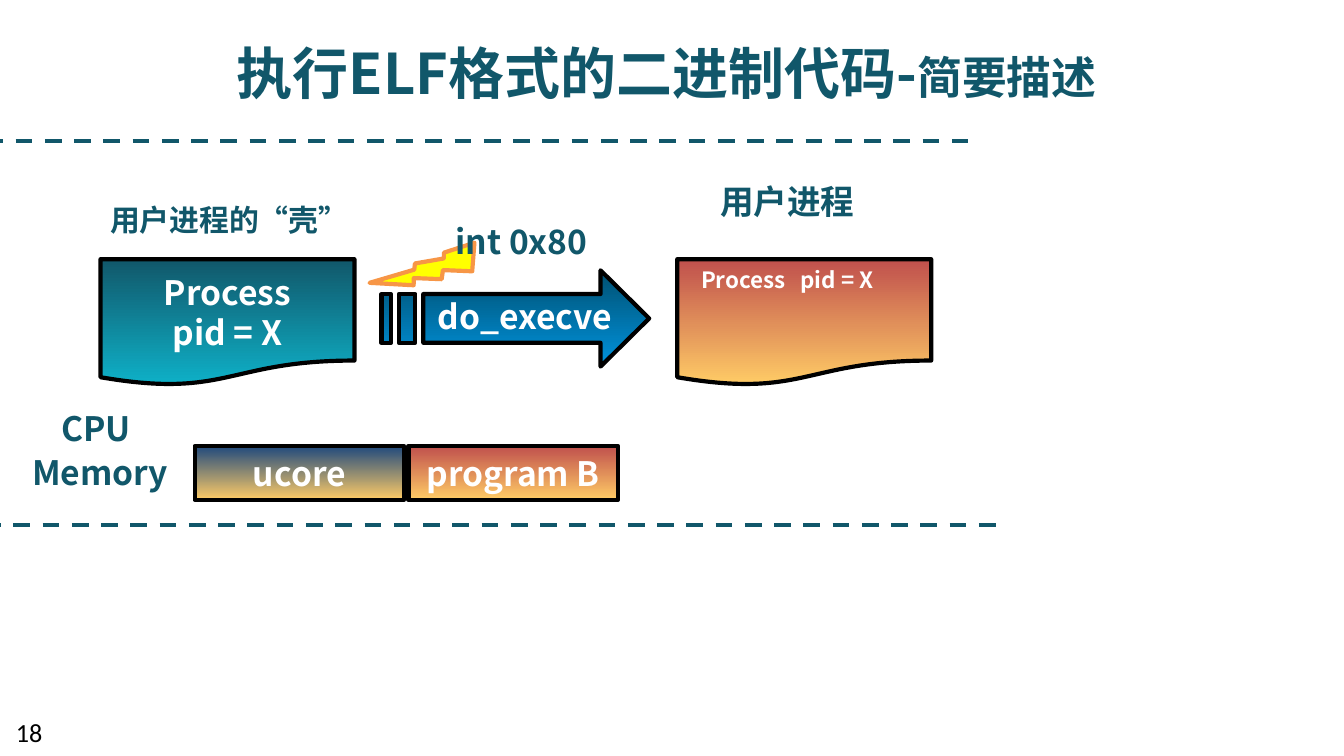
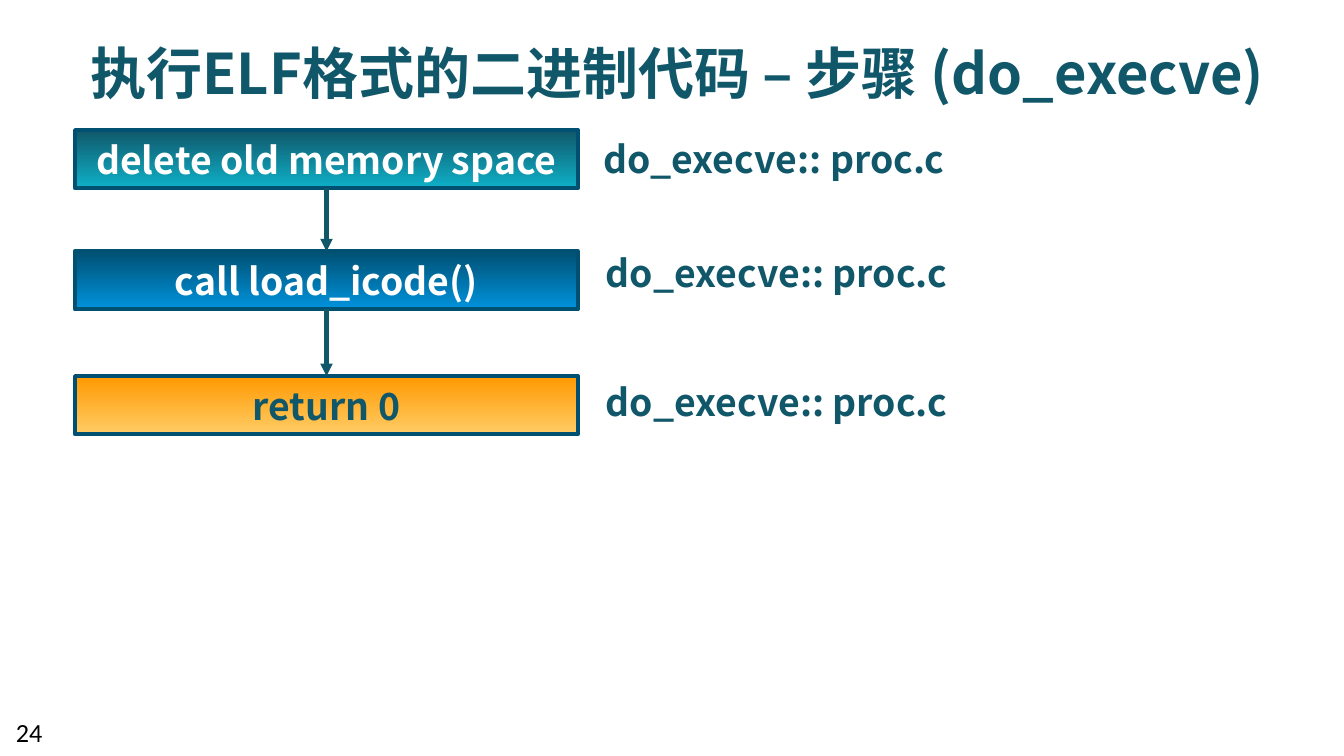
from lxml import etree
from pptx import Presentation
from pptx.dml.color import RGBColor
from pptx.enum.dml import MSO_LINE
from pptx.enum.shapes import MSO_CONNECTOR, MSO_SHAPE
from pptx.enum.text import MSO_ANCHOR, MSO_AUTO_SIZE, PP_ALIGN
from pptx.oxml.ns import qn
from pptx.util import Cm, Pt

LEFT, CENTER = PP_ALIGN.LEFT, PP_ALIGN.CENTER
TOP, MIDDLE = MSO_ANCHOR.TOP, MSO_ANCHOR.MIDDLE
RECTANGLE, DOCUMENT = MSO_SHAPE.RECTANGLE, MSO_SHAPE.FLOWCHART_DOCUMENT
BOLT = MSO_SHAPE.LIGHTNING_BOLT
STRAIGHT, DASH = MSO_CONNECTOR.STRAIGHT, MSO_LINE.DASH
NO_AUTOFIT = MSO_AUTO_SIZE.NONE

FONT, NUMBER_FONT = "Noto Sans CJK SC", "Calibri"
LINE_WIDTH = Pt(2.25)
COLORS = {
    "ink": "11576A", "white": "FFFFFF", "black": "000000", "cyan": "0EB1C8",
    "blue": "0093DD", "navy": "005072", "sand": "FFCC66", "red": "C0504D",
    "indigo": "1F497D", "amber": "FF9900", "yellow": "FFFF00", "orange": "F79646",
}
GRADIENTS = {
    "teal": ("cyan", "ink"), "deep": ("blue", "navy"), "brick": ("sand", "red"),
    "dusk": ("sand", "indigo"), "gold": ("sand", "amber"),
}

OVERVIEW = {
    "title": [("执行ELF格式的二进制代码-", 30), ("简要描述", 24)],
    "title_box": (3.3, 0.58, 18.6, 1.55),
    "number": "18",
}
DASHED_LINES = [(-0.81, 18.29, 2.67), (-0.3, 18.82, 9.93)]
PROCESSES = [(1.9, "teal"), (12.8, "brick")]
PROCESS_TOP, PROCESS_WIDTH, PROCESS_HEIGHT = 4.9, 4.8, 2.39
MEMORY = [("ucore", "dusk"), ("program B", "brick")]
MEMORY_LEFT, MEMORY_TOP, MEMORY_STEP = 3.68, 8.43, 4.04
MEMORY_WIDTH, MEMORY_HEIGHT = 3.96, 1.02
ARROW_OUTLINES = [
    [(11.35, 5.11), (11.35, 5.56), (8, 5.56), (8, 6.48),
     (11.35, 6.48), (11.35, 6.93), (12.27, 6.02)],
    [(7.54, 5.56), (7.54, 6.48), (7.85, 6.48), (7.85, 5.56)],
    [(7.21, 5.56), (7.21, 6.48), (7.39, 6.48), (7.39, 5.56)],
]
BOLT_BOX, BOLT_ANGLE = (7.59, 4.11, 1.02, 2.03), 52.1
LABELS = [
    ("用户进程的“壳”", (1.83, 3.68, 6, 0.94), 16, "ink", LEFT),
    ("用户进程", (13.36, 3.3, 4, 1.02), 18, "ink", LEFT),
    ("CPU", (0.91, 7.59, 2.4, 1.02), 18, "ink", LEFT),
    ("Memory", (0.36, 8.41, 3.6, 1.02), 18, "ink", LEFT),
    ("int 0x80", (8.36, 4.04, 4, 1.02), 18, "ink", LEFT),
    ("do_execve", (7.42, 5.46, 5, 1.02), 18, "white", CENTER),
]
SHELL_LINES = ["Process", "pid = X"]
SHELL_BOX, SHELL_SPACING = (2.3, 5, 4, 1.8), 21.5
USER_TEXT = "Process\tpid = X"
USER_BOX, USER_TAB = (13, 4.9, 5, 0.76), 1.88

STEPS_SLIDE = {
    "title": [("执行ELF格式的二进制代码 – 步骤 (do_execve)", 30)],
    "title_box": (0.99, 0.58, 23.62, 1.55),
    "number": "24",
}
STEPS = [
    ("delete old memory space", 2.46, "teal", "white", (11.15, 2.44)),
    ("call load_icode()", 4.75, "deep", "white", (11.2, 4.6)),
    ("return 0", 7.11, "gold", "ink", (11.2, 7.04)),
]
STEP_LEFT, STEP_WIDTH, STEP_HEIGHT = 1.42, 9.5, 1.1
STEP_SOURCE = "do_execve:: proc.c"


def color(name):
    return RGBColor.from_string(COLORS[name])


def lengths(values):
    return [Cm(value) for value in values]


def format_paragraph(paragraph, size, ink, alignment, font=FONT, bold=True):
    paragraph.alignment = alignment
    paragraph.font.name = font
    paragraph.font.size = Pt(size)
    paragraph.font.bold = bold
    paragraph.font.color.rgb = color(ink)
    properties = paragraph._p.pPr.find(qn("a:defRPr"))
    etree.SubElement(properties, qn("a:ea")).set("typeface", font)


def write(shape, lines, size, ink, alignment, anchor=MIDDLE):
    frame = shape.text_frame
    frame.word_wrap = True
    frame.vertical_anchor = anchor
    frame.text = "\n".join(lines)
    for paragraph in frame.paragraphs:
        format_paragraph(paragraph, size, ink, alignment)
    return frame.paragraphs


def add_label(slide, lines, box, size, ink, alignment):
    label = slide.shapes.add_textbox(*lengths(box))
    return write(label, lines, size, ink, alignment)


def style_outline(shape, line):
    shape.shadow.inherit = False
    shape.line.color.rgb = color(line)
    shape.line.width = LINE_WIDTH


def style_gradient(shape, gradient, line):
    style_outline(shape, line)
    shape.fill.gradient()
    shape.fill.gradient_angle = 90
    for stop, name in zip(shape.fill.gradient_stops, GRADIENTS[gradient]):
        stop.color.rgb = color(name)


def add_block(slide, kind, box, gradient, line="black"):
    block = slide.shapes.add_shape(kind, *lengths(box))
    style_gradient(block, gradient, line)
    return block


def add_line(slide, points=(0, 0, 0, 0)):
    connector = slide.shapes.add_connector(STRAIGHT, *lengths(points))
    connector.line.color.rgb = color("ink")
    connector.line.width = LINE_WIDTH
    etree.SubElement(connector._element.spPr, qn("a:effectLst"))
    return connector


def add_slide(presentation, content):
    slide = presentation.slides.add_slide(presentation.slide_layouts[5])
    title = slide.shapes.title
    title.left, title.top, title.width, title.height = lengths(content["title_box"])
    frame = title.text_frame
    frame.auto_size = NO_AUTOFIT
    frame.word_wrap = True
    frame.vertical_anchor = MIDDLE
    frame.margin_left = frame.margin_right = 0
    paragraph = frame.paragraphs[0]
    for text, size in content["title"]:
        run = paragraph.add_run()
        run.text = text
        run.font.size = Pt(size)
    format_paragraph(paragraph, content["title"][0][1], "ink", CENTER)

    number = slide.shapes.add_textbox(*lengths((0.05, 13.41, 1.22, 0.76)))
    number.text_frame.vertical_anchor = TOP
    number.text_frame.word_wrap = True
    number.text_frame.text = content["number"]
    format_paragraph(number.text_frame.paragraphs[0], 14, "black", LEFT, NUMBER_FONT, False)
    return slide


def add_striped_arrow(slide):
    outlines = [[lengths(point) for point in outline] for outline in ARROW_OUTLINES]
    builder = slide.shapes.build_freeform(*outlines[0][0], scale=1.0)
    for index, outline in enumerate(outlines):
        if index:
            builder.move_to(*outline[0])
        builder.add_line_segments(outline[1:], close=True)
    style_gradient(builder.convert_to_shape(), "deep", "black")


def add_bolt(slide):
    bolt = slide.shapes.add_shape(BOLT, *lengths(BOLT_BOX))
    style_outline(bolt, "orange")
    bolt.fill.solid()
    bolt.fill.fore_color.rgb = color("yellow")
    bolt.rotation = BOLT_ANGLE
    bolt._element.spPr.find(qn("a:xfrm")).set("flipH", "1")


def build_overview(presentation):
    slide = add_slide(presentation, OVERVIEW)
    for start, end, height in DASHED_LINES:
        add_line(slide, (start, height, end, height)).line.dash_style = DASH
    for left, gradient in PROCESSES:
        add_block(slide, DOCUMENT, (left, PROCESS_TOP, PROCESS_WIDTH, PROCESS_HEIGHT), gradient)
    add_striped_arrow(slide)
    add_bolt(slide)
    for index, (text, gradient) in enumerate(MEMORY):
        left = MEMORY_LEFT + index * MEMORY_STEP
        box = (left, MEMORY_TOP, MEMORY_WIDTH, MEMORY_HEIGHT)
        write(add_block(slide, RECTANGLE, box, gradient), [text], 18, "white", CENTER)
    for text, box, size, ink, alignment in LABELS:
        add_label(slide, [text], box, size, ink, alignment)
    for paragraph in add_label(slide, SHELL_LINES, SHELL_BOX, 18, "white", CENTER):
        paragraph.line_spacing = Pt(SHELL_SPACING)
    user = add_label(slide, [USER_TEXT], USER_BOX, 12, "white", LEFT)[0]
    tabs = etree.Element(qn("a:tabLst"))
    etree.SubElement(tabs, qn("a:tab"), pos=str(Cm(USER_TAB)), algn="l")
    user._p.pPr.find(qn("a:defRPr")).addprevious(tabs)


def build_steps(presentation):
    slide = add_slide(presentation, STEPS_SLIDE)
    previous = None
    for text, top, gradient, ink, source_place in STEPS:
        box = (STEP_LEFT, top, STEP_WIDTH, STEP_HEIGHT)
        step = add_block(slide, RECTANGLE, box, gradient, "navy")
        write(step, [text], 20, ink, CENTER)
        add_label(slide, [STEP_SOURCE], (*source_place, 8, 1.12), 20, "ink", LEFT)
        if previous is not None:
            arrow = add_line(slide)
            arrow.begin_connect(previous, 2)
            arrow.end_connect(step, 0)
            etree.SubElement(arrow.line._get_or_add_ln(), qn("a:tailEnd"), type="triangle")
        previous = step


def main():
    presentation = Presentation()
    presentation.slide_width, presentation.slide_height = Cm(25.4), Cm(14.29)
    build_overview(presentation)
    build_steps(presentation)
    presentation.save("out.pptx")


if __name__ == "__main__":
    main()
